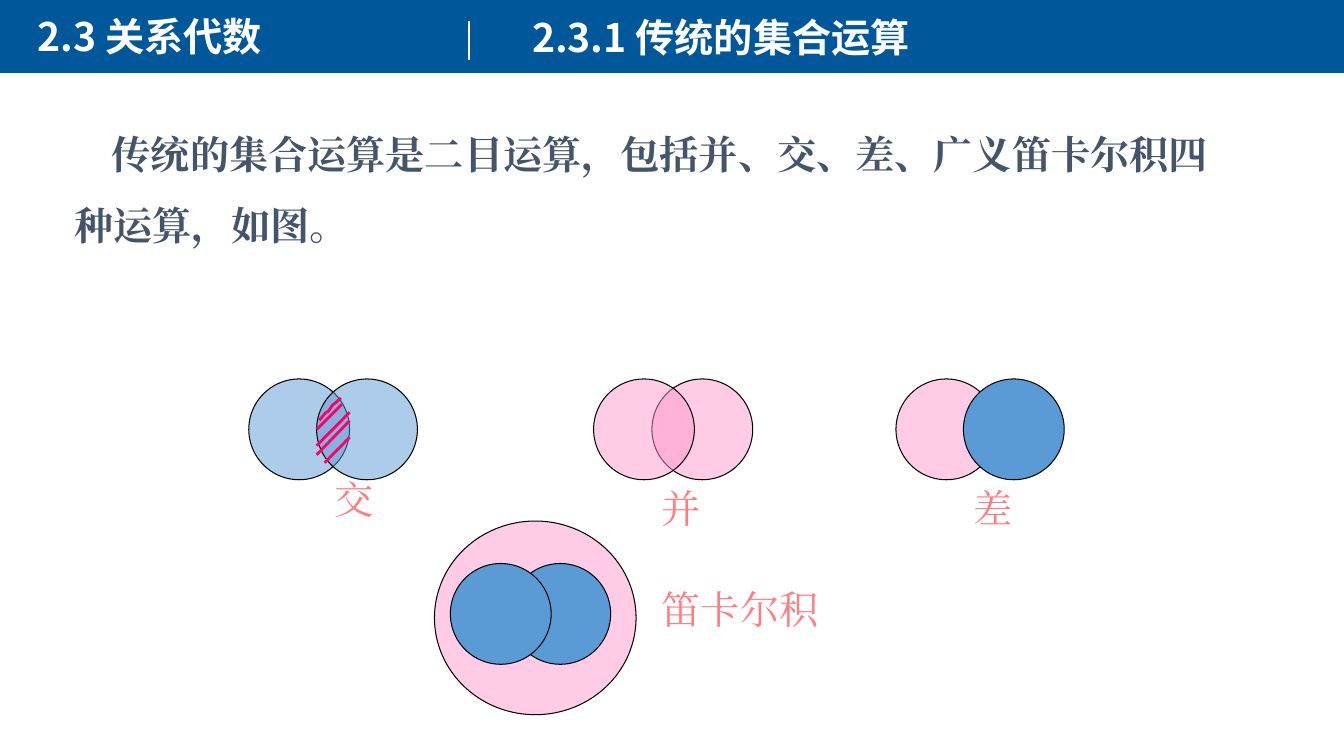
import dataclasses

import lxml.etree
import pptx
import pptx.dml.color
import pptx.enum.shapes
import pptx.oxml.ns
import pptx.util
from pptx.util import Cm, Pt

SHAPE = pptx.enum.shapes.MSO_SHAPE
STRAIGHT = pptx.enum.shapes.MSO_CONNECTOR.STRAIGHT
qn = pptx.oxml.ns.qn


@dataclasses.dataclass(frozen=True)
class Theme:
    banner: str = "00589A"
    white: str = "FFFFFF"
    body: str = "44546A"
    label: str = "FF7C80"
    pink: str = "FF99CC"
    blue: str = "5B9BD5"
    hatch: str = "FF0066"
    outline: str = "000000"
    text_size: float = 28
    thin: float = 0.75
    divider: float = 1.5
    thick: float = 2
    heading_font: str = "Noto Sans CJK SC"
    text_font: str = "Times New Roman"


THEME = Theme()
DIAMETER = 2.54
VENN_TOP = 9.55


def rgb(color):
    return pptx.dml.color.RGBColor.from_string(color)


def apply(target, formats):
    for name, value in formats.items():
        setattr(target, name, value)


def style_line(line, color, width):
    line.color.rgb = rgb(color)
    line.width = Pt(width)


def fill_solid(shape, color, opacity=100):
    shape.shadow.inherit = False
    shape.fill.solid()
    shape.fill.fore_color.rgb = rgb(color)
    if opacity < 100:
        tint = shape.fill._xPr.find(qn("a:solidFill"))[0]
        lxml.etree.SubElement(tint, qn("a:alpha"), val=str(opacity * 1000))


def add_text(shapes, text, place, color, font=THEME.text_font, bold=False,
             **paragraph_formats):
    box = shapes.add_textbox(*map(Cm, place))
    box.text_frame.word_wrap = True
    para = box.text_frame.paragraphs[0]
    apply(para, paragraph_formats)
    span = para.add_run()
    span.text = text
    apply(span.font, {"name": font, "size": Pt(THEME.text_size), "bold": bold})
    span.font.color.rgb = rgb(color)
    # The East Asian typeface follows the Latin one.
    lxml.etree.SubElement(span.font._element, qn("a:ea"), typeface=font)
    return para


def add_heading(shapes, text, place):
    add_text(shapes, text, place, THEME.white, THEME.heading_font, True)


def add_ellipse(shapes, left, top, color, opacity=100, width=DIAMETER, height=DIAMETER):
    ellipse = shapes.add_shape(SHAPE.OVAL, *map(Cm, (left, top, width, height)))
    fill_solid(ellipse, color, opacity)
    style_line(ellipse.line, THEME.outline, THEME.thin)


def add_line(shapes, ends, color, width):
    line = shapes.add_connector(STRAIGHT, *map(Cm, ends))
    style_line(line.line, color, width)
    lxml.etree.SubElement(line._element.spPr, qn("a:effectLst"))


def add_squiggle(shapes, points):
    start, *rest = [(Cm(x), Cm(y)) for x, y in points]
    builder = shapes.build_freeform(*start)
    builder.add_line_segments(rest, close=False)
    squiggle = builder.convert_to_shape()
    fill_solid(squiggle, THEME.hatch)
    style_line(squiggle.line, THEME.hatch, THEME.thick)


def add_venn(slide, label, label_place, circles, top=VENN_TOP, outer=None):
    """Group labelled circles, each (left, colour, opacity), from back to front."""
    shapes = slide.shapes.add_group_shape().shapes
    if outer:
        left, outer_top, width, height = outer
        add_ellipse(shapes, left, outer_top, THEME.pink, 50, width, height)
    for left, color, opacity in circles:
        add_ellipse(shapes, left, top, color, opacity)
    add_text(shapes, label, label_place, THEME.label)
    return shapes


def add_banner(slide):
    banner = slide.shapes.add_shape(SHAPE.RECTANGLE, Cm(0), Cm(-0.05), Cm(33.87), Cm(1.89))
    fill_solid(banner, THEME.banner)
    banner.line.fill.background()
    add_heading(slide.shapes, "2.3 关系代数", (0.69, 0.18, 14.05, 1.45))
    add_heading(slide.shapes, "2.3.1 传统的集合运算", (13.16, 0.2, 21.97, 1.45))
    add_line(slide.shapes, (11.81, 0.53, 11.81, 1.5), THEME.white, THEME.divider)


def add_body(slide):
    para = add_text(
        slide.shapes, "传统的集合运算是二目运算，包括并、交、差、广义笛卡尔积四种运算，如图。",
        (0.99, 2.57, 30.48, 4.45), THEME.body, bold=True,
        line_spacing=1.5, space_before=Pt(10))
    indents = {"marL": Cm(0.64), "indent": Cm(0.94)}
    for name, value in indents.items():
        para._p.get_or_add_pPr().set(name, str(value))


def add_diagrams(slide):
    pink, blue = THEME.pink, THEME.blue
    add_venn(slide, "并", (16.43, 12.09, 1.27, 1.45),
             [(16.43, pink, 50), (14.96, pink, 50)])
    intersection = add_venn(slide, "交", (8.18, 11.86, 1.7, 1.45),
                            [(6.27, blue, 50), (7.98, blue, 50)])
    add_squiggle(intersection, [(8.59, 10.03), (8.48, 10.13), (8.38, 10.21),
                                (8.28, 10.36), (8.2, 10.41), (8.05, 10.59)])
    for ends in [(8.81, 10.39, 7.98, 11.23), (8.61, 10.19, 7.98, 10.82),
                 (8.81, 10.6, 7.98, 11.46), (8.81, 11.02, 8.18, 11.66)]:
        add_line(intersection, ends, THEME.hatch, THEME.thick)
    add_venn(slide, "差", (24.28, 12.09, 1.27, 1.45),
             [(22.58, pink, 50), (24.28, blue, 100)])
    add_venn(slide, "笛卡尔积", (16.43, 14.63, 5.51, 1.45),
             [(12.85, blue, 100), (11.35, blue, 100)],
             top=14.2, outer=(10.95, 13.13, 5.08, 4.88))


def main():
    deck = pptx.Presentation()
    apply(deck, {"slide_width": Cm(33.87), "slide_height": Cm(19.05)})
    page = deck.slides.add_slide(deck.slide_layouts[6])
    add_banner(page)
    add_body(page)
    add_diagrams(page)
    deck.save("out.pptx")


if __name__ == "__main__":
    main()
